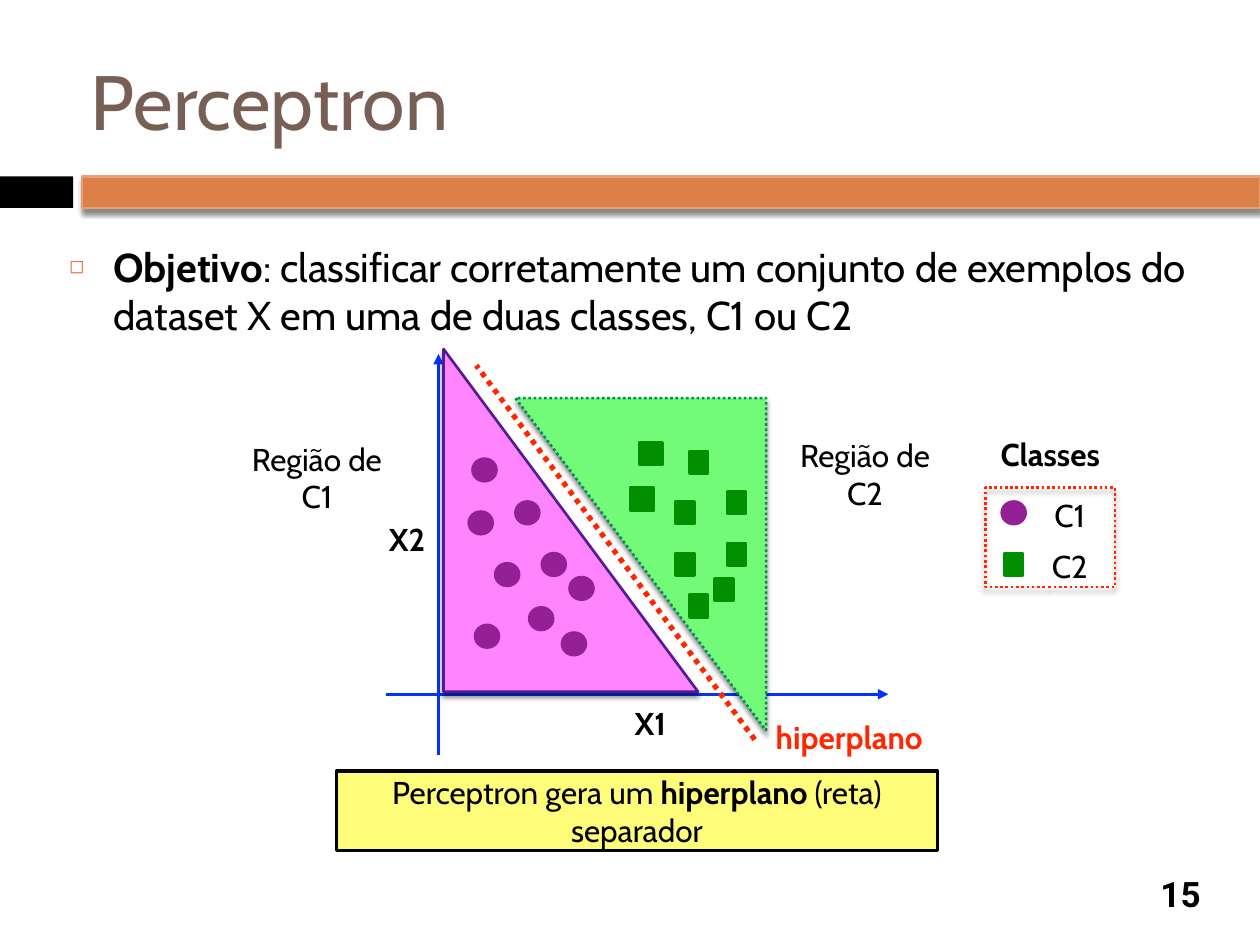
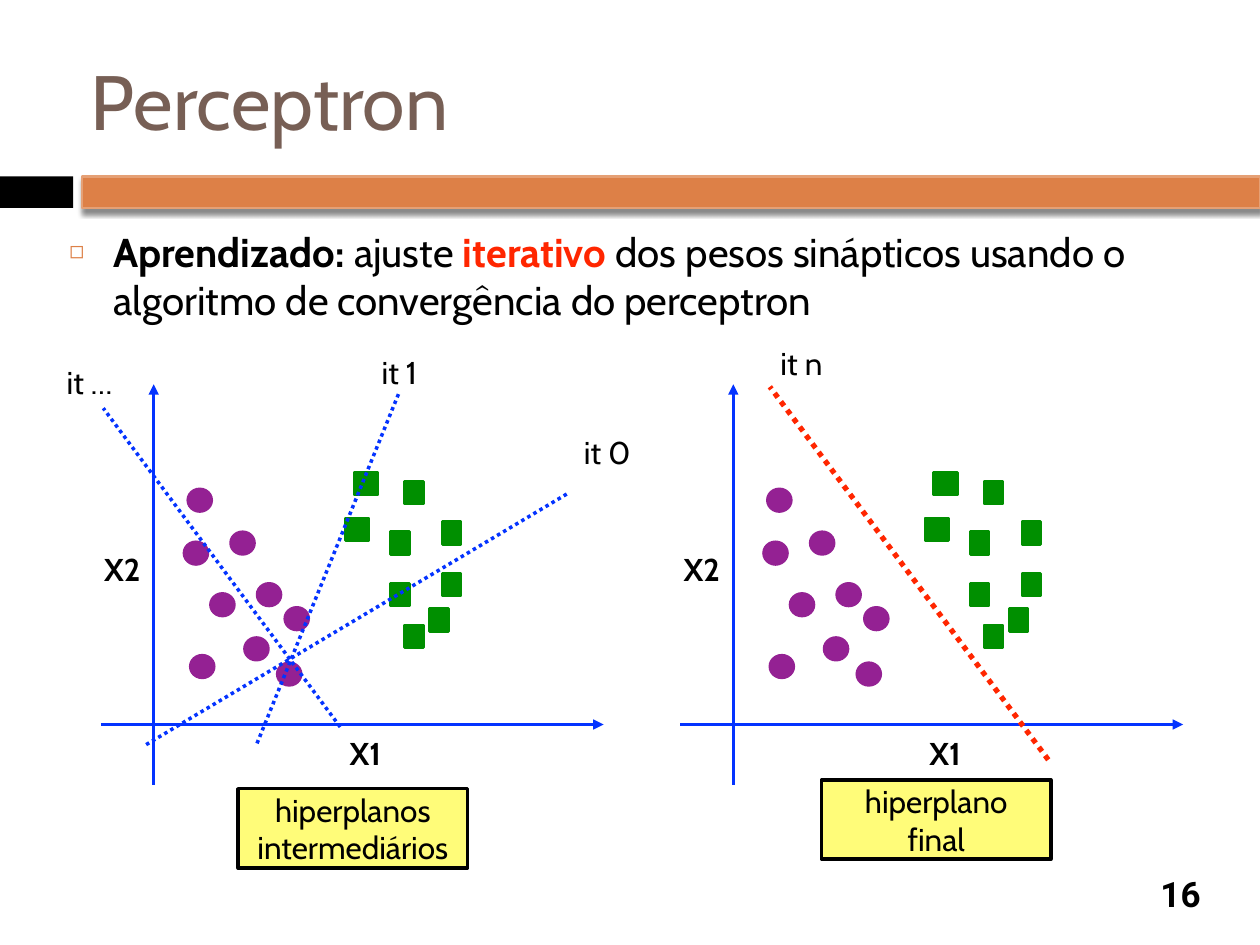
from lxml.etree import SubElement
from pptx import Presentation
from pptx.dml.color import RGBColor
from pptx.enum.dml import MSO_LINE
from pptx.enum.shapes import MSO_CONNECTOR, MSO_SHAPE
from pptx.enum.text import MSO_ANCHOR, MSO_AUTO_SIZE, PP_ALIGN
from pptx.oxml.ns import qn
from pptx.util import Inches, Pt

INK = {
    "black": "000000", "title": "775F55", "band": "DD8047", "edge": "E5A075",
    "axis": "0433FF", "red": "FF2600", "dot": "942193", "square": "008F00",
    "pink": "FF85FF", "violet": "531B93", "lime": "73FA79", "green": "009051",
    "note": "FFFC79",
}
BASE = {"size": Pt(18), "name": "Cabin", "bold": False, "color": "black"}
BOLD = {"bold": True}
INSET = Inches(0.05)
FRAME = {"word_wrap": True, "margin_left": INSET, "margin_right": INSET,
         "margin_top": INSET, "margin_bottom": INSET}

# Offsets of the examples from the origin of the axes
DOTS = [(0.45, -1.04), (0.24, -1.45), (0.29, -0.55), (0.27, -1.87), (0.61, -1.53),
        (0.82, -1.12), (1.04, -0.93), (0.98, -0.49), (0.72, -0.69)]
SLIM = [(1.88, -1.53), (1.99, -1.93), (2.29, -1.2), (1.99, -0.79), (1.88, -1.12),
        (2.19, -0.92), (2.29, -1.61)]
WIDE = [(1.59, -2), (1.52, -1.64)]


def rgb(name):
    return RGBColor.from_string(INK[name])


def put(item, values):
    for key, value in values.items():
        setattr(item, key, value)


def stroke(line, color, width, dash=False):
    line.color.rgb = rgb(color)
    line.width = Pt(width)
    if dash:
        line.dash_style = MSO_LINE.ROUND_DOT


class Deck:
    def __init__(self):
        self.prs = Presentation()
        put(self.prs, {"slide_width": Inches(10), "slide_height": Inches(7.5)})
        self.layout = self.prs.slide_layouts[1]
        self.slide = None

    def start(self, title, number):
        first = self.slide is None
        self.slide = self.prs.slides.add_slide(self.layout)
        if first:
            self.bands()
        head = self.slide.shapes.title
        self.place(head, 0.67, 0.25, 8.92, 1.08)
        self.fill(head.text_frame, [title], PP_ALIGN.LEFT, MSO_ANCHOR.MIDDLE,
                  size=Pt(44), color="title")
        self.text(number, 9.08, 6.89, 0.58, 0.41, MSO_ANCHOR.MIDDLE,
                  size=Pt(20), name="Roboto", bold=True)

    def bands(self):
        """Draw the bands under the title and move them to the layout."""
        dark = self.shape(MSO_SHAPE.RECTANGLE, 0, 1.4, 0.58, 0.25, "black")
        warm = self.shape(MSO_SHAPE.RECTANGLE, 0.65, 1.4, 9.35, 0.25, "band",
                          ("edge", 1.5), True)
        for band in (warm, dark):
            self.layout.shapes.element.insert(2, band.element)

    def place(self, item, *box):
        put(item, dict(zip(("left", "top", "width", "height"), map(Inches, box))))

    def fill(self, frame, paras, align=PP_ALIGN.CENTER, anchor=MSO_ANCHOR.TOP, **style):
        """Fill a frame; a paragraph is a string or a list of (text, format) runs."""
        put(frame, FRAME | {"vertical_anchor": anchor, "auto_size": MSO_AUTO_SIZE.NONE})
        for i, runs in enumerate(paras):
            para = frame.paragraphs[0] if i == 0 else frame.add_paragraph()
            para.alignment = align
            for words, extra in [(runs, {})] if isinstance(runs, str) else runs:
                run = para.add_run()
                run.text = words
                look = BASE | style | extra
                run.font.color.rgb = rgb(look.pop("color"))
                put(run.font, look)

    def text(self, words, x, y, w=0.58, h=0.36, anchor=MSO_ANCHOR.TOP, **style):
        box = self.slide.shapes.add_textbox(*map(Inches, (x, y, w, h)))
        self.fill(box.text_frame, words.split("\n"), anchor=anchor, **style)

    def bullet(self, runs, top, height):
        body = self.slide.placeholders[1]
        self.place(body, 0.5, top, 9, height)
        self.fill(body.text_frame, [runs], PP_ALIGN.LEFT, size=Pt(23))
        para = body.text_frame.paragraphs[0]
        para.space_before = Pt(7)
        props = para._p.get_or_add_pPr()
        props.set("marL", str(Inches(0.35)))
        props.set("indent", str(-Inches(0.35)))
        tint = SubElement(props, qn("a:buClr"))
        SubElement(tint, qn("a:srgbClr"), val=INK["band"])
        SubElement(props, qn("a:buSzPct"), val="60000")
        SubElement(props, qn("a:buChar"), char="◻")

    def dress(self, item, fill, line, shadow):
        if fill:
            item.fill.solid()
            item.fill.fore_color.rgb = rgb(fill)
        else:
            item.fill.background()
        if line:
            stroke(item.line, *line)
        else:
            item.line.fill.background()
        item.shadow.inherit = False
        if shadow:
            effects = item.element.spPr.find(qn("a:effectLst"))
            outer = SubElement(effects, qn("a:outerShdw"), blurRad=str(Pt(3)),
                               dist=str(Pt(2.4)), dir="5400000", rotWithShape="0")
            tint = SubElement(outer, qn("a:srgbClr"), val=INK["black"])
            SubElement(tint, qn("a:alpha"), val="45000")
        return item

    def shape(self, kind, x, y, w, h, fill=None, line=None, shadow=False):
        item = self.slide.shapes.add_shape(kind, *map(Inches, (x, y, w, h)))
        return self.dress(item, fill, line, shadow)

    def region(self, points, fill, line):
        first, *rest = [tuple(map(Inches, point)) for point in points]
        pen = self.slide.shapes.build_freeform(*first)
        pen.add_line_segments(rest, close=True)
        self.dress(pen.convert_to_shape(), fill, line, True)

    def line(self, x1, y1, x2, y2, color, width, dash=True, arrow=False):
        ends = map(Inches, (x1, y1, x2, y2))
        item = self.slide.shapes.add_connector(MSO_CONNECTOR.STRAIGHT, *ends)
        stroke(item.line, color, width, dash)
        props = item.element.spPr
        if arrow:
            SubElement(props.find(qn("a:ln")), qn("a:tailEnd"), type="triangle")
        SubElement(props, qn("a:effectLst"))

    def axes(self, x, y):
        for ends in ((x - 0.42, y, x + 3.57, y), (x, y + 0.48, x, y - 2.7)):
            self.line(*ends, "axis", 1.5, dash=False, arrow=True)
        self.text("X1", x + 1.39, y + 0.03, **BOLD)
        self.text("X2", x - 0.54, y - 1.43, **BOLD)

    def dots(self, x, y, spots=DOTS):
        for dx, dy in spots:
            self.shape(MSO_SHAPE.OVAL, x + dx, y + dy, 0.19, 0.18, "dot", ("dot", 1.5))

    def squares(self, x, y, groups=((SLIM, 0.15), (WIDE, 0.19))):
        for spots, width in groups:
            for dx, dy in spots:
                self.shape(MSO_SHAPE.RECTANGLE, x + dx, y + dy, width, 0.18,
                           "square", ("square", 1.5))

    def note(self, paras, x, y, w):
        box = self.shape(MSO_SHAPE.RECTANGLE, x, y, w, 0.63, "note", ("black", 2))
        self.fill(box.text_frame, paras, anchor=MSO_ANCHOR.MIDDLE)


def goal(deck):
    deck.start("Perceptron", "15")
    deck.bullet([("Objetivo", BOLD),
                 (": classificar corretamente um conjunto de exemplos do dataset X "
                  "em uma de duas classes, C1 ou C2", {})], 1.87, 1.08)
    spot = (3.48, 5.51)
    deck.axes(*spot)
    deck.region([(3.52, 2.77), (3.52, 5.49), (5.54, 5.49)], "pink", ("violet", 1.5))
    deck.dots(*spot)
    deck.line(5.99, 5.87, 3.78, 2.9, "red", 3)
    deck.region([(6.08, 5.8), (6.08, 3.16), (4.09, 3.16)], "lime", ("green", 1.5, True))
    deck.squares(*spot)
    deck.text("Região de\nC1", 1.74, 3.44, 1.55, 0.63)
    deck.text("Região de\nC2", 6.09, 3.41, 1.55, 0.63)
    deck.text("hiperplano", 5.57, 5.65, 2.34, color="red", **BOLD)

    deck.text("Classes", 7.81, 3.4, 1.05, **BOLD)
    deck.dots(7.95, 3.98, [(0, 0)])
    deck.squares(7.97, 4.39, [([(0, 0)], 0.15)])
    for i, name in enumerate(("C1", "C2")):
        deck.text(name, 8.17, 3.89 + 0.4 * i, 0.64)
    deck.shape(MSO_SHAPE.RECTANGLE, 7.82, 3.87, 1.03, 0.79,
               line=("red", 1.5, True), shadow=True)
    deck.note([[("Perceptron gera um ", {}), ("hiperplano", BOLD),
                (" (reta) separador", {})]], 2.67, 6.12, 4.77)


def learn(deck):
    deck.start("Perceptron", "16")
    deck.bullet([("Aprendizado: ", BOLD), ("ajuste ", {}),
                 ("iterativo", BOLD | {"color": "red"}),
                 (" dos pesos sinápticos usando o algoritmo de convergência "
                  "do perceptron", {})], 1.75, 0.83)
    for x in (1.22, 5.82):
        deck.axes(x, 5.75)
        deck.dots(x, 5.75)
        deck.squares(x, 5.75)
    deck.line(8.32, 6.03, 6.11, 3.07, "red", 3)
    for ends in ((2.7, 5.77, 0.82, 3.24), (1.16, 5.91, 4.5, 3.92),
                 (2.04, 5.9, 3.17, 3.11)):
        deck.line(*ends, "axis", 2)
    for name, x, y in (("it 0", 4.53, 3.39), ("it 1", 2.88, 2.75),
                       ("it n", 6.07, 2.68), ("it …", 0.42, 2.83)):
        deck.text(name, x, y)
    deck.note(["hiperplanos", "intermediários"], 1.89, 6.26, 1.82)
    deck.note(["hiperplano", "final"], 6.52, 6.19, 1.82)


def main():
    deck = Deck()
    goal(deck)
    learn(deck)
    deck.prs.save("out.pptx")


if __name__ == "__main__":
    main()
